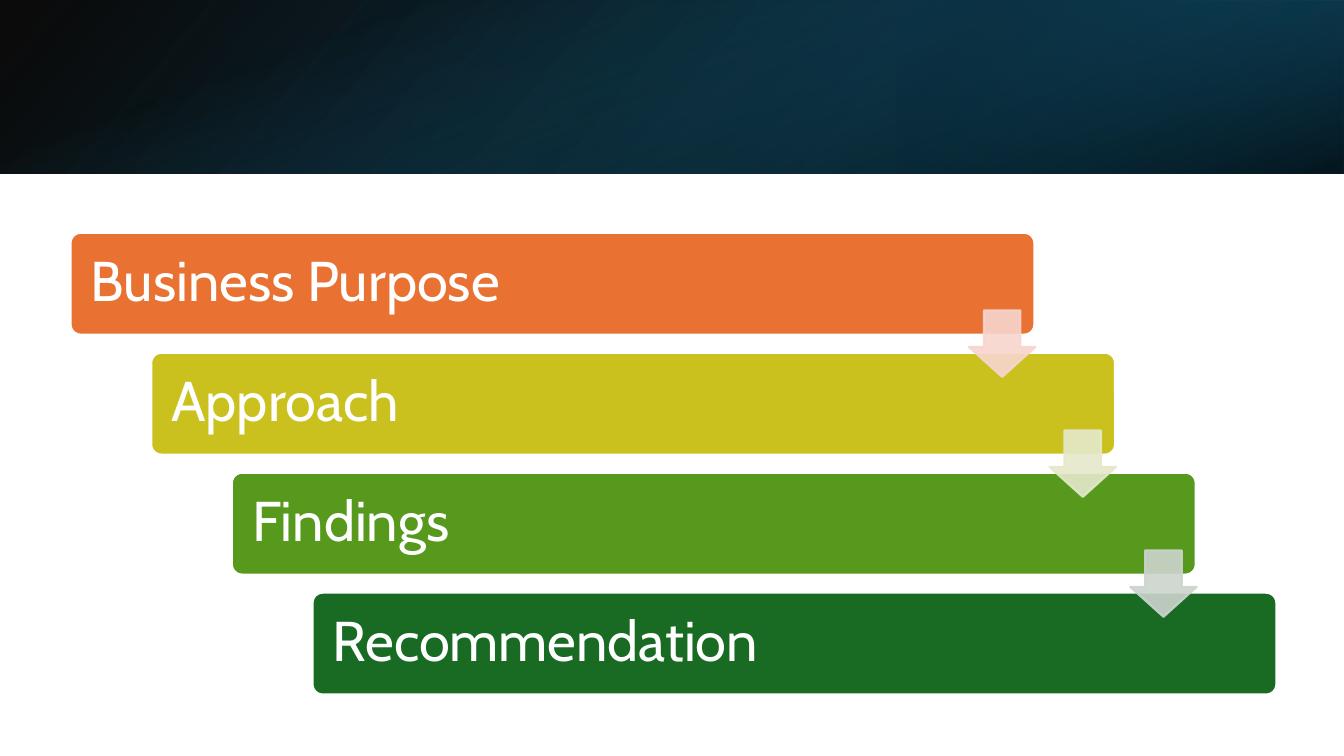
from lxml.etree import SubElement
from pptx import Presentation
from pptx.dml.color import RGBColor
from pptx.enum.shapes import MSO_SHAPE
from pptx.enum.text import MSO_ANCHOR, PP_ALIGN
from pptx.oxml.ns import qn
from pptx.util import Inches, Pt


def paint(color, code, alpha=100):
    color.rgb = RGBColor.from_string(code)
    if alpha < 100:
        for node in color._xFill.iter(qn("a:srgbClr")):
            SubElement(node, qn("a:alpha")).set("val", str(alpha * 1000))


class Deck:
    """Holds the text style and the current slide, and draws its parts."""

    font, size, ink = "Cabin", 40, "FFFFFF"

    def __init__(self, slide):
        self.slide = slide

    def shape(self, kind, box, adjust=()):
        shape = self.slide.shapes.add_shape(kind, *map(Inches, box))
        shape.shadow.inherit = False
        for i, value in enumerate(adjust):
            shape.adjustments[i] = value
        return shape

    def solid(self, kind, box, adjust, fill, line, alpha=100):
        shape = self.shape(kind, box, adjust)
        shape.fill.solid()
        paint(shape.fill.fore_color, fill, alpha)
        shape.line.width = Pt(1.5)
        shape.line.fill.solid()
        paint(shape.line.fill.fore_color, line, alpha)

    def blend(self, box, stops, angle, turn=0, flip=False):
        shape = self.shape(MSO_SHAPE.RECTANGLE, box)
        shape.rotation = turn
        if flip:
            shape.element.spPr.find(qn("a:xfrm")).set("flipH", "1")
        shape.line.fill.background()
        shape.fill.gradient()
        shape.fill.gradient_angle = 360 - angle
        for stop, (place, code, alpha) in zip(shape.fill.gradient_stops, stops):
            stop.position = place / 100
            stop.color.rgb = RGBColor.from_string(code)
            node = next(shape.fill._xPr.iterfind(
                f".//{qn('a:gs')}[@pos='{place * 1000}']/{qn('a:srgbClr')}"))
            SubElement(node, qn("a:alpha")).set("val", str(alpha * 1000))

    def label(self, box, text):
        frame = self.slide.shapes.add_textbox(*map(Inches, box)).text_frame
        frame.word_wrap = True
        frame.vertical_anchor = MSO_ANCHOR.MIDDLE
        frame.margin_left = frame.margin_right = Inches(0.17)
        frame.margin_top = frame.margin_bottom = Inches(0.17)
        frame.text = text
        line = frame.paragraphs[0]
        line.alignment = PP_ALIGN.LEFT
        line.line_spacing = 0.9
        font = line.runs[0].font
        font.name, font.size = self.font, Pt(self.size)
        paint(font.color, self.ink)


def main():
    show = Presentation()
    show.slide_width, show.slide_height = Inches(13.33), Inches(7.5)
    deck = Deck(show.slides.add_slide(show.slide_layouts[6]))

    deck.blend((0, 0, 13.33, 1.72),
               [(0, "000000", 96), (100, "104862", 100)], 140, flip=True)
    deck.blend((8.89, 0, 4.44, 1.72),
               [(19, "0B3041", 68), (100, "156082", 79)], 320, 180, True)
    deck.blend((5.8, -5.8, 1.72, 13.33),
               [(23, "156082", 0), (99, "000000", 74)], 340, 90)

    steps = [("Business Purpose", "E97132"), ("Approach", "CBC11E"),
             ("Findings", "56991D"), ("Recommendation", "196B24")]
    arrows = ["F7D5CE", "E5E8CA", "CCD4CD"]
    across, down = 0.8, 1.19

    for i, (text, fill) in enumerate(steps):
        left, top = 0.7 + i * across, 2.31 + i * down
        deck.solid(MSO_SHAPE.ROUNDED_RECTANGLE, (left, top, 9.56, 1.01),
                   [0.1], fill, "FFFFFF")
        deck.label((left + 0.03, top + 0.03, 8.05, 0.95), text)
    for i, code in enumerate(arrows):
        box = (9.61 + i * across, 3.08 + i * down, 0.66, 0.66)
        deck.solid(MSO_SHAPE.DOWN_ARROW, box, [0.55, 0.45], code, code, 90)

    show.save("out.pptx")


if __name__ == "__main__":
    main()
